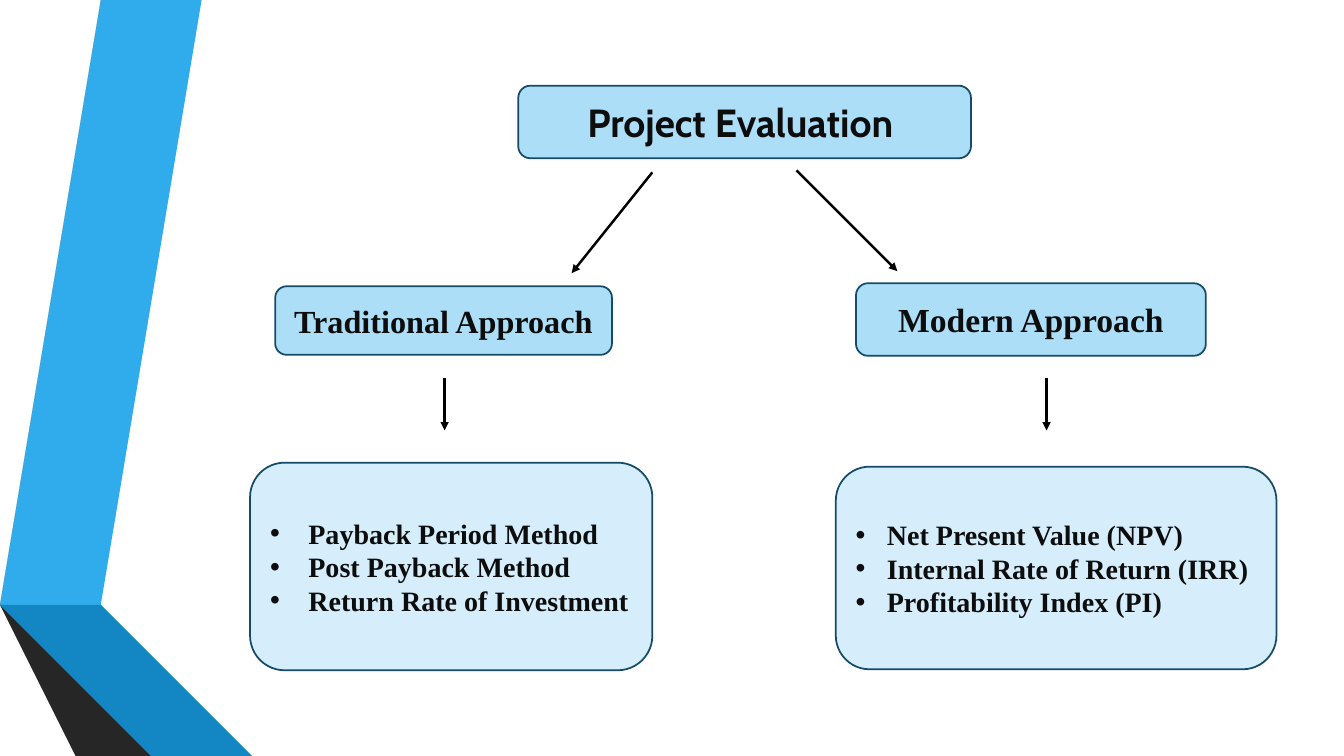
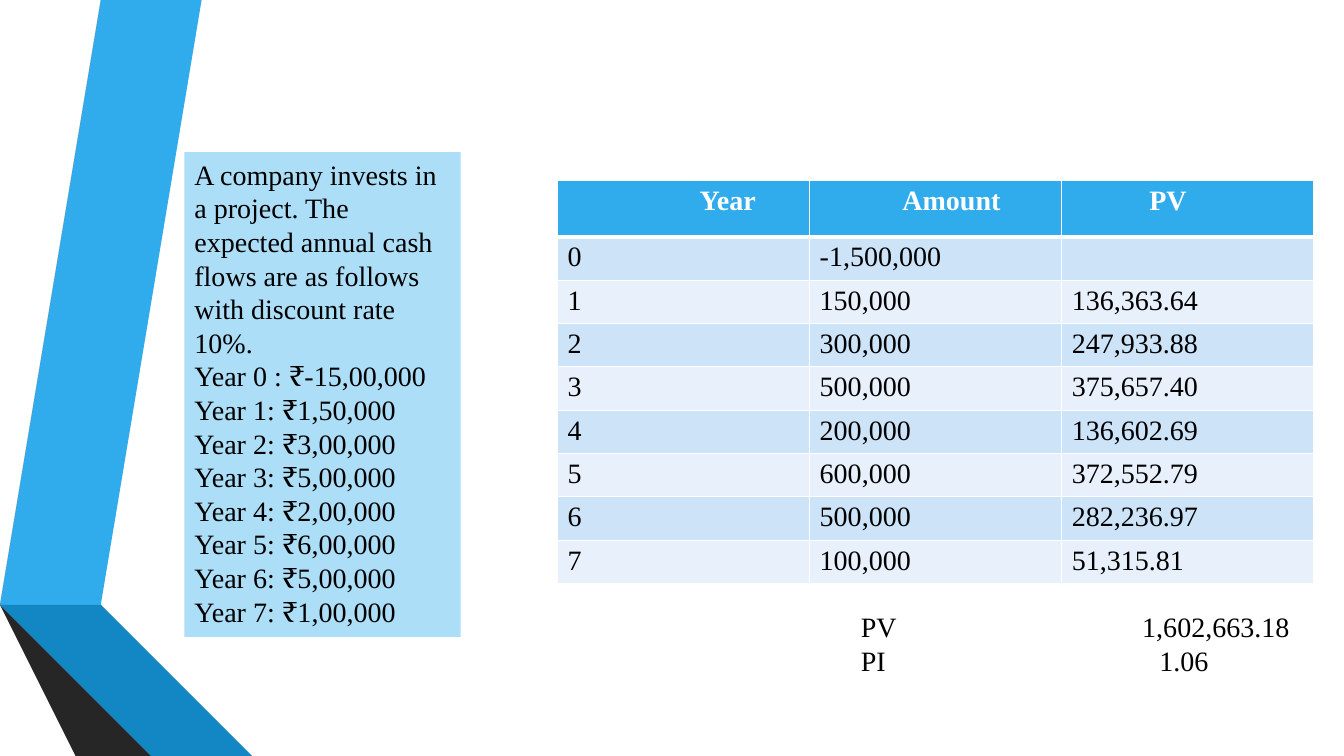
from dataclasses import dataclass

from lxml.etree import SubElement
from pptx import Presentation
from pptx.dml.color import RGBColor
from pptx.enum.shapes import MSO_CONNECTOR, MSO_SHAPE
from pptx.enum.text import MSO_ANCHOR, PP_ALIGN
from pptx.oxml.ns import qn
from pptx.util import Inches, Pt

COLORS = {
    "accent": "30ACEC",
    "accent_dark": "1287C3",
    "accent_deep": "0C5A82",
    "gray": "595959",
    "gray_dark": "404040",
    "gray_deep": "262626",
    "heading_fill": "ACDEF7",
    "list_fill": "D6EEFB",
    "outline": "154B67",
    "ink": "0D0D0D",
    "black": "000000",
    "white": "FFFFFF",
    "row_odd": "CDE3F8",
    "row_even": "E8F1FB",
}
SERIF = "Times New Roman"


@dataclass(frozen=True)
class Band:
    color: str
    points: tuple[tuple[float, float], ...]


@dataclass(frozen=True)
class Box:
    left: float
    top: float
    width: float
    height: float
    lines: tuple[str, ...]
    size: float = 20
    font: str = SERIF
    indent: float = 0


@dataclass(frozen=True)
class Arrow:
    start: tuple[float, float]
    end: tuple[float, float]


@dataclass(frozen=True)
class Column:
    title: str
    title_margin: float
    values: tuple[str, ...]


@dataclass(frozen=True)
class Total:
    label: str
    value: str
    tab: float


BANDS = (
    Band("accent", ((0.5, 5.78), (0.77, 5.83), (1.73, 0), (1.45, 0))),
    Band("gray", ((1.39, 0), (1.11, 0), (0.16, 5.73), (0.44, 5.77))),
    Band("gray_deep", ((0.16, 5.73), (1.45, 7.5), (1.51, 7.5))),
    Band("accent_deep", ((0.5, 5.79), (2.08, 7.5), (2.14, 7.5))),
    Band("accent_dark", ((0.5, 5.78), (2.14, 7.5), (2.83, 7.5), (0.77, 5.83))),
    Band("gray_dark", ((2.02, 7.5), (0.48, 5.83), (0.44, 5.77), (0.16, 5.73), (1.51, 7.5))),
)

HEADINGS = (
    Box(5.14, 0.85, 4.49, 0.72, ("Project Evaluation ",), 28, "Cabin"),
    Box(2.73, 2.84, 3.34, 0.68, ("Traditional Approach",), 23),
    Box(8.49, 2.81, 3.47, 0.72, ("Modern Approach",), 24),
)
METHODS = (
    Box(2.48, 4.59, 3.99, 2.06,
        ("Payback Period Method", "Post Payback Method", "Return Rate of Investment"),
        indent=0.38),
    Box(8.29, 4.63, 4.37, 2.01,
        ("Net Present Value (NPV)", "Internal Rate of Return (IRR)", "Profitability Index (PI)"),
        indent=0.31),
)
ARROWS = (
    Arrow((7.9, 1.69), (8.9, 2.69)),
    Arrow((6.47, 1.71), (5.67, 2.71)),
    Arrow((4.41, 3.75), (4.41, 4.27)),
    Arrow((10.38, 3.75), (10.38, 4.27)),
)

PROBLEM = Box(1.83, 1.51, 2.74, 4.81, (
    "A company invests in a project. The expected annual cash flows are as follows "
    "with discount rate 10%.",
    "Year 0 : ₹-15,00,000",
    "Year 1: ₹1,50,000",
    "Year 2: ₹3,00,000",
    "Year 3: ₹5,00,000",
    "Year 4: ₹2,00,000",
    "Year 5: ₹6,00,000",
    "Year 6: ₹5,00,000",
    "Year 7: ₹1,00,000",
))
COLUMNS = (
    Column("Year", 1.41, tuple(str(year) for year in range(8))),
    Column("Amount", 0.92, ("-1,500,000", "150,000", "300,000", "500,000",
                            "200,000", "600,000", "500,000", "100,000")),
    Column("PV", 0.87, ("", "136,363.64", "247,933.88", "375,657.40",
                        "136,602.69", "372,552.79", "282,236.97", "51,315.81")),
)
TOTALS = (Total("PV", "1,602,663.18", 2.79), Total("PI", "1.06", 2.96))


def rgb(name: str) -> RGBColor:
    return RGBColor.from_string(COLORS[name])


def paint(shape, fill: str, outline: str | None = None) -> None:
    shape.shadow.inherit = False
    shape.fill.solid()
    shape.fill.fore_color.rgb = rgb(fill)
    if outline:
        shape.line.color.rgb = rgb(outline)
        shape.line.width = Pt(1.25)
    else:
        shape.line.fill.background()


def add_text(paragraph, text: str, color: str = "black", size: float = 20,
             font: str = SERIF, bold: bool = False) -> None:
    run = paragraph.add_run()
    run.text = text
    run.font.name = font
    run.font.size = Pt(size)
    run.font.bold = bold
    run.font.color.rgb = rgb(color)


def next_paragraph(frame, index: int):
    return frame.add_paragraph() if index else frame.paragraphs[0]


def add_bullet(paragraph, indent: float) -> None:
    properties = paragraph._p.get_or_add_pPr()
    properties.set("marL", str(Inches(indent)))
    properties.set("indent", str(-Inches(indent)))
    SubElement(properties, qn("a:buFont"), typeface="Arial")
    SubElement(properties, qn("a:buChar"), char="•")


def add_box(slide, box: Box, preset: MSO_SHAPE, fill: str, outline: str | None = None,
            color: str = "ink", bold: bool = True,
            align: PP_ALIGN = PP_ALIGN.LEFT, anchor: MSO_ANCHOR = MSO_ANCHOR.MIDDLE) -> None:
    shape = slide.shapes.add_shape(preset, Inches(box.left), Inches(box.top),
                                   Inches(box.width), Inches(box.height))
    paint(shape, fill, outline)
    frame = shape.text_frame
    frame.word_wrap = True
    frame.vertical_anchor = anchor
    for index, line in enumerate(box.lines):
        paragraph = next_paragraph(frame, index)
        paragraph.alignment = align
        if box.indent:
            add_bullet(paragraph, box.indent)
        add_text(paragraph, line, color, box.size, box.font, bold)


def add_arrow(slide, arrow: Arrow) -> None:
    ends = [Inches(value) for value in (*arrow.start, *arrow.end)]
    connector = slide.shapes.add_connector(MSO_CONNECTOR.STRAIGHT, *ends)
    connector.line.color.rgb = rgb("black")
    connector.line.width = Pt(1.75)
    SubElement(connector.line._get_or_add_ln(), qn("a:tailEnd"), type="triangle")
    SubElement(connector._element.spPr, qn("a:effectLst"))


def add_banded_slide(deck):
    """Add a blank slide with the folded ribbons on its left edge."""
    slide = deck.slides.add_slide(deck.slide_layouts[6])
    ribbons = slide.shapes.add_group_shape()
    for band in BANDS:
        builder = ribbons.shapes.build_freeform(*band.points[0], scale=Inches(1))
        builder.add_line_segments(band.points[1:], close=True)
        paint(builder.convert_to_shape(), band.color)
    return slide


def set_borders(cell, bottom: float) -> None:
    properties = cell._tc.get_or_add_tcPr()
    for side, width in (("L", 1), ("R", 1), ("T", 1), ("B", bottom)):
        line = SubElement(properties, qn(f"a:ln{side}"), w=str(Pt(width)))
        SubElement(SubElement(line, qn("a:solidFill")), qn("a:srgbClr"), val=COLORS["white"])


def add_cell(cell, text: str, fill: str, heading: bool = False) -> None:
    set_borders(cell, 3 if heading else 1)
    cell.fill.solid()
    cell.fill.fore_color.rgb = rgb(fill)
    if text:
        add_text(cell.text_frame.paragraphs[0], text,
                 "white" if heading else "black", bold=heading)


def add_cash_flow_table(slide) -> None:
    row_count = len(COLUMNS[0].values) + 1
    table = slide.shapes.add_table(row_count, len(COLUMNS), Inches(5.53), Inches(1.79),
                                   Inches(7.5), Inches(4.03)).table
    for index, row in enumerate(table.rows):
        row.height = Inches(0.43 if index else 0.56)
    for position, column in enumerate(COLUMNS):
        table.columns[position].width = Inches(2.5)
        heading = table.cell(0, position)
        heading.margin_left = Inches(column.title_margin)
        add_cell(heading, column.title, "accent", heading=True)
        for index, value in enumerate(column.values, start=1):
            add_cell(table.cell(index, position), value, "row_odd" if index % 2 else "row_even")


def add_totals(slide) -> None:
    frame = slide.shapes.add_textbox(Inches(8.44), Inches(6), Inches(4.59),
                                     Inches(0.77)).text_frame
    frame.word_wrap = True
    for index, total in enumerate(TOTALS):
        paragraph = next_paragraph(frame, index)
        tabs = SubElement(paragraph._p.get_or_add_pPr(), qn("a:tabLst"))
        SubElement(tabs, qn("a:tab"), pos=str(Inches(total.tab)), algn="l")
        add_text(paragraph, f"{total.label}\t{total.value}")


def build_evaluation_slide(deck) -> None:
    slide = add_banded_slide(deck)
    for heading in HEADINGS:
        add_box(slide, heading, MSO_SHAPE.FLOWCHART_ALTERNATE_PROCESS,
                "heading_fill", "outline", align=PP_ALIGN.CENTER)
    for methods in METHODS:
        add_box(slide, methods, MSO_SHAPE.FLOWCHART_ALTERNATE_PROCESS, "list_fill", "outline")
    for arrow in ARROWS:
        add_arrow(slide, arrow)


def build_cash_flow_slide(deck) -> None:
    slide = add_banded_slide(deck)
    add_box(slide, PROBLEM, MSO_SHAPE.RECTANGLE, "heading_fill",
            color="black", bold=False, anchor=MSO_ANCHOR.TOP)
    add_cash_flow_table(slide)
    add_totals(slide)


def main() -> None:
    deck = Presentation()
    deck.slide_width = Inches(13.33)
    deck.slide_height = Inches(7.5)
    build_evaluation_slide(deck)
    build_cash_flow_slide(deck)
    deck.save("out.pptx")


if __name__ == "__main__":
    main()
